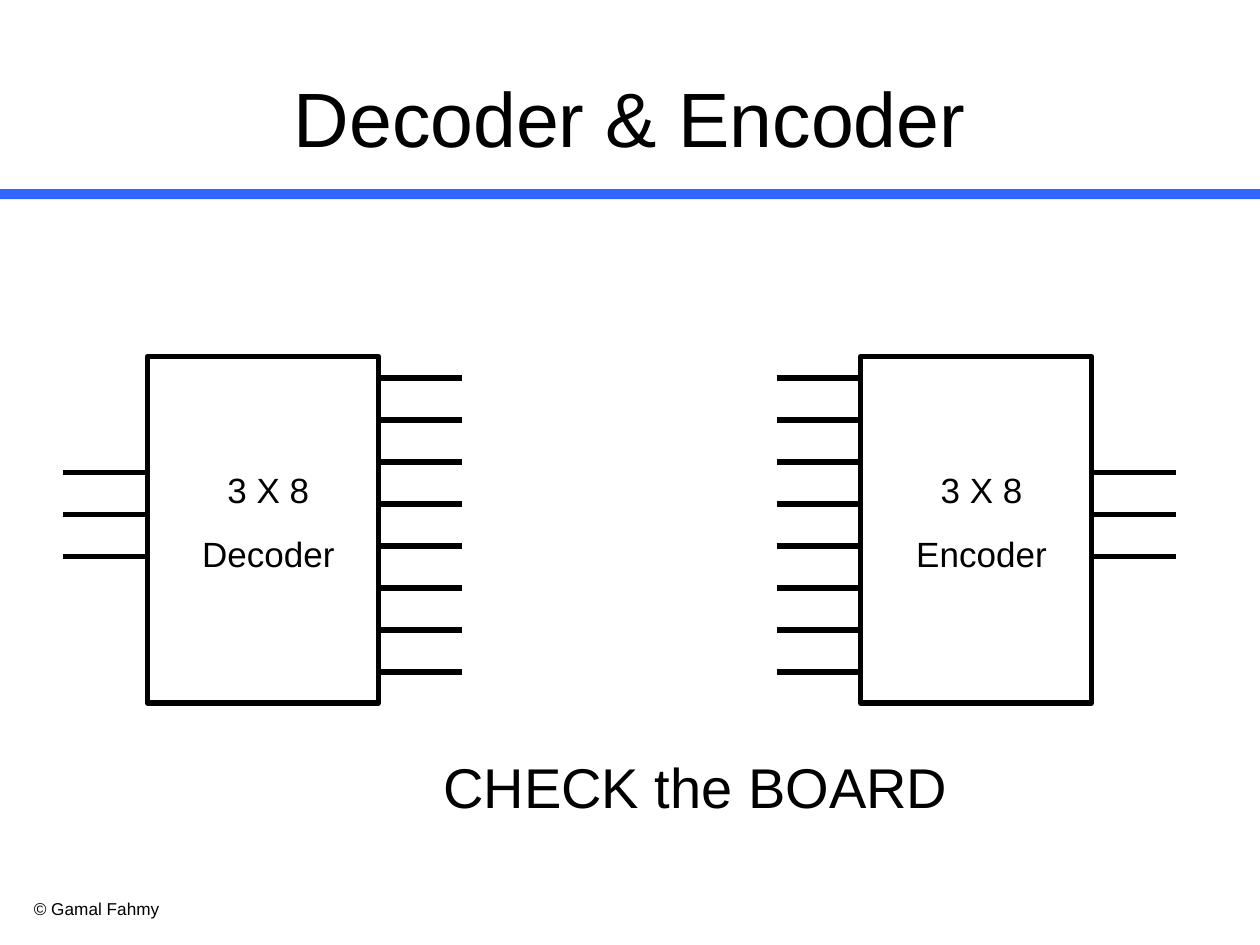
from lxml.etree import SubElement
from pptx import Presentation
from pptx.dml.color import RGBColor as RGB
from pptx.enum.shapes import MSO_CONNECTOR as LINK, MSO_SHAPE as SHAPE
from pptx.enum.text import MSO_ANCHOR as ANCHOR, PP_ALIGN as ALIGN
from pptx.oxml.ns import qn
from pptx.util import Inches, Pt

COLORS = {"ink": "000000", "bar": "3366FF"}
STEP, PIN, WIDE = 1 / 3, 2 / 3, 11 / 6


def color(name):
    """Return the named colour."""
    return RGB.from_string(COLORS[name])


def write(frame, lines, size, align=ALIGN.LEFT, gap=0):
    """Fill a text frame with one paragraph per line."""
    frame.word_wrap = True
    frame.text = "\n".join(lines)
    for para in frame.paragraphs:
        para.alignment = align
        para.space_before = Pt(gap)
        para.font.name = "Arial"
        para.font.size = Pt(size)
        para.font.color.rgb = color("ink")


def add_text(slide, box, lines, size, **style):
    """Add a text box."""
    shape = slide.shapes.add_textbox(*map(Inches, box))
    write(shape.text_frame, lines, size, **style)


def add_title(slide, text):
    """Place and format the title."""
    title = slide.shapes.title
    title.left, title.top, title.width, title.height = map(
        Inches, (0.5, 0.3, 9, 1.25))
    title.text_frame.vertical_anchor = ANCHOR.MIDDLE
    write(title.text_frame, [text], 44, ALIGN.CENTER)


def add_rect(slide, box):
    """Add a plain rectangle."""
    shape = slide.shapes.add_shape(SHAPE.RECTANGLE, *map(Inches, box))
    shape.shadow.inherit = False
    return shape


def add_bar(slide):
    """Add the blue rule below the title."""
    bar = add_rect(slide, (0, 1.5, 10, 0.08))
    bar.fill.solid()
    bar.fill.fore_color.rgb = color("bar")
    bar.line.fill.background()


def add_pins(slide, left, top, count):
    """Add a column of evenly spaced pins."""
    for i in range(count):
        y = top + i * STEP
        pin = slide.shapes.add_connector(
            LINK.STRAIGHT, *map(Inches, (left, y, left + PIN, y)))
        pin.line.color.rgb = color("ink")
        pin.line.width = Pt(3)
        SubElement(pin._element.spPr, qn("a:effectLst"))


def add_chip(slide, left, name, ins, outs):
    """Add a labelled block with pins on both sides."""
    chip = add_rect(slide, (left, 2.83, WIDE, 2.75))
    chip.fill.background()
    chip.line.color.rgb = color("ink")
    chip.line.width = Pt(3)
    add_text(slide, (left + 0.17, 3.67, 1.58, 0.94), ["3 X 8", name], 20,
             align=ALIGN.CENTER, gap=12.5)
    for x, count in ((left - PIN, ins), (left + WIDE, outs)):
        add_pins(slide, x, 3 if count == 8 else 3.75, count)


def main():
    """Build and save the slide."""
    deck = Presentation()
    deck.slide_width, deck.slide_height = Inches(10), Inches(7.5)
    slide = deck.slides.add_slide(deck.slide_layouts[5])
    add_bar(slide)
    add_text(slide, (0.17, 7.08, 2.17, 0.27), ["© Gamal Fahmy"], 9.8)
    add_title(slide, "Decoder & Encoder")
    add_chip(slide, 1.17, "Decoder", 3, 8)
    add_chip(slide, 6.83, "Encoder", 8, 3)
    add_text(slide, (3.42, 5.92, 4.33, 1.17), ["CHECK the BOARD"], 32)
    deck.save("out.pptx")


if __name__ == "__main__":
    main()
